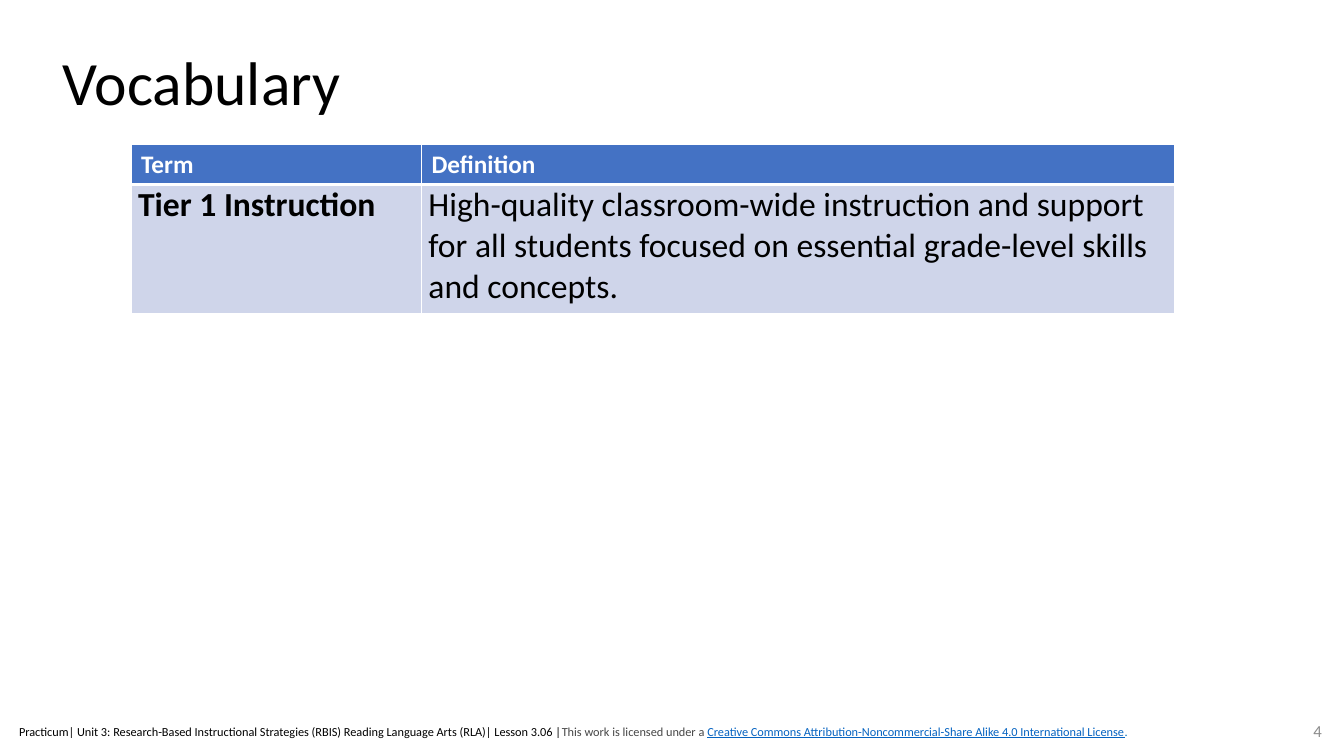
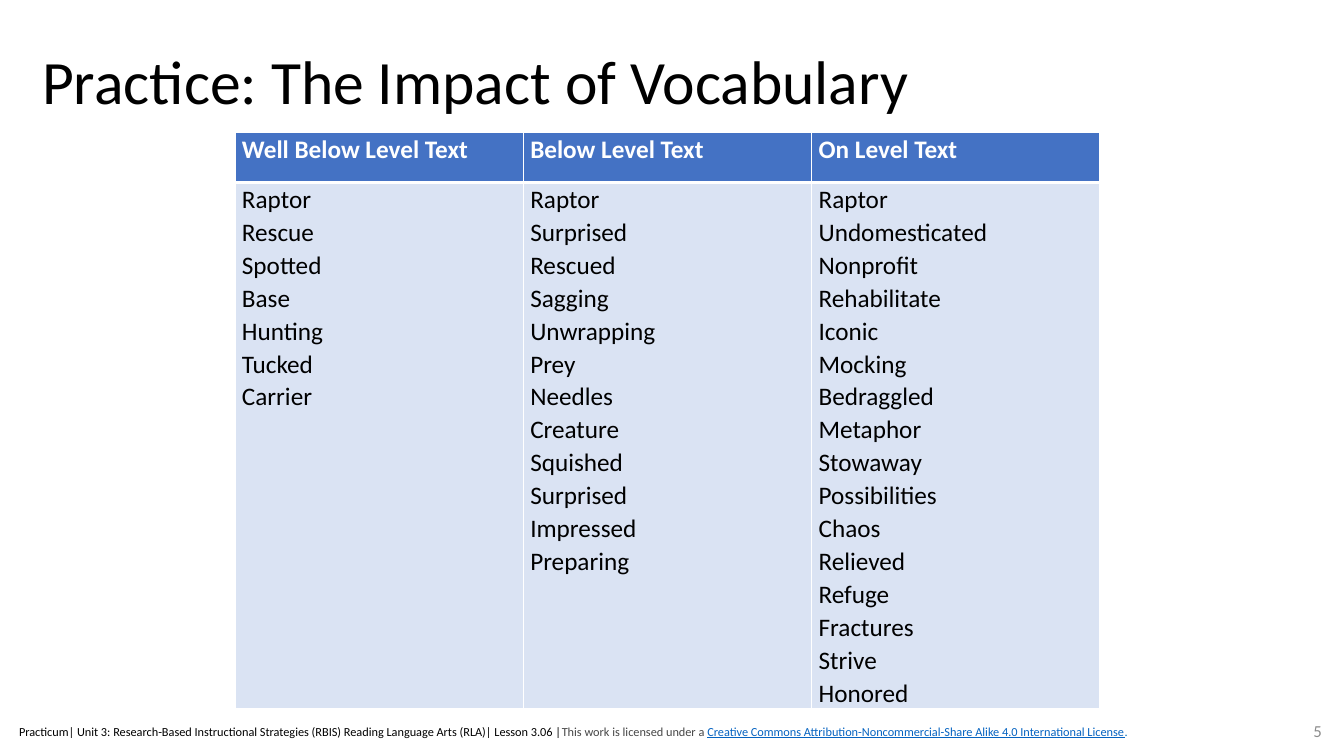
"""Build two vocabulary slides, each with a title, a table and a shared footer."""
from lxml.etree import SubElement
from pptx import Presentation
from pptx.dml.color import RGBColor
from pptx.enum.text import MSO_ANCHOR, PP_ALIGN
from pptx.oxml.ns import qn
from pptx.util import Inches, Pt

FONT = "Calibri"
BLACK, WHITE, GREY = "000000", "FFFFFF", "8C8C8C"
HEADER_BLUE = "4472C4"
FOOTER = [
    ("Practicum| Unit 3: Research-Based Instructional Strategies (RBIS) "
     "Reading Language Arts (RLA)| Lesson 3.06 |", BLACK, False),
    ("This work is licensed under a ", "464646", False),
    ("Creative Commons Attribution-Noncommercial-Share Alike 4.0 "
     "International License", "0563C1", True),
    (".", "0070C0", False),
]

SLIDES = [
    {
        "title": "Vocabulary",
        "title_at": (0.52, 0.12, 11.5, 1.45),
        "number": "4",
        "table_at": (1.3, 1.43),
        "widths": [2.88, 7.47],
        "heights": [0.4, 1.28],
        "header_insets": (0.1, 0.05),
        "line_spacing": 1.0,
        "space_after": 6,
        "body_size": 24,
        "body_fill": "CFD5EA",
        "bold_columns": [0],
        "columns": {
            "Term": ["Tier 1 Instruction"],
            "Definition": [
                "High-quality classroom-wide instruction and support for all "
                "students focused on essential grade-level skills and concepts."
            ],
        },
    },
    {
        "title": "Practice: The Impact of Vocabulary",
        "title_at": (0.32, 0.26, 11.5, 1.15),
        "number": "5",
        "table_at": (2.33, 1.31),
        "widths": [2.86] * 3,
        "heights": [0.5, 5.22],
        "header_insets": (0.07, 0),
        "line_spacing": 1.07,
        "space_after": 0,
        "body_size": 18,
        "body_fill": "DAE3F3",
        "bold_columns": [],
        "columns": {
            "Well Below Level Text": [
                "Raptor", "Rescue", "Spotted", "Base", "Hunting", "Tucked",
                "Carrier",
            ],
            "Below Level Text": [
                "Raptor", "Surprised", "Rescued", "Sagging", "Unwrapping",
                "Prey", "Needles", "Creature", "Squished", "Surprised",
                "Impressed", "Preparing",
            ],
            "On Level Text": [
                "Raptor", "Undomesticated", "Nonprofit", "Rehabilitate",
                "Iconic", "Mocking", "Bedraggled", "Metaphor", "Stowaway",
                "Possibilities", "Chaos", "Relieved", "Refuge", "Fractures",
                "Strive", "Honored",
            ],
        },
    },
]


def rgb(color):
    return RGBColor.from_string(color)


def add_line(page, place, spans, size, align=PP_ALIGN.LEFT, line_spacing=1.0):
    box = page.shapes.add_textbox(*map(Inches, place))
    frame = box.text_frame
    frame.word_wrap = True
    frame.vertical_anchor = MSO_ANCHOR.MIDDLE
    para = frame.paragraphs[0]
    para.alignment = align
    para.line_spacing = line_spacing
    for text, color, underline in spans:
        span = para.add_run()
        span.text = text
        span.font.name = FONT
        span.font.size = Pt(size)
        span.font.color.rgb = rgb(color)
        span.font.underline = underline


deck = Presentation()
deck.slide_width = Inches(13.33)
deck.slide_height = Inches(7.5)

for content in SLIDES:
    page = deck.slides.add_slide(deck.slide_layouts[6])
    add_line(page, content["title_at"], [(content["title"], BLACK, False)], 44,
             line_spacing=0.9)

    widths, heights = content["widths"], content["heights"]
    left, top = content["table_at"]
    table = page.shapes.add_table(
        len(heights), len(widths), Inches(left), Inches(top),
        Inches(sum(widths)), Inches(sum(heights))).table
    for row, height in zip(table.rows, heights):
        row.height = Inches(height)

    for column, (heading, words) in enumerate(content["columns"].items()):
        table.columns[column].width = Inches(widths[column])
        for row, lines in enumerate([[heading], words]):
            is_header = row == 0
            cell = table.cell(row, column)
            side, edge = content["header_insets"] if is_header else (0.07, 0)
            cell.margin_left = cell.margin_right = Inches(side)
            cell.margin_top = cell.margin_bottom = Inches(edge)

            properties = cell._tc.get_or_add_tcPr()
            borders = {"a:lnL": 1, "a:lnR": 1,
                       "a:lnT": 1 if is_header else 3,
                       "a:lnB": 3 if is_header else 1}
            for tag, points in borders.items():
                border = SubElement(properties, qn(tag), w=str(Pt(points)))
                fill = SubElement(border, qn("a:solidFill"))
                SubElement(fill, qn("a:srgbClr"), val=WHITE)
            cell.fill.solid()
            cell.fill.fore_color.rgb = rgb(
                HEADER_BLUE if is_header else content["body_fill"])

            cell.text_frame.text = "\n".join(lines)
            for para in cell.text_frame.paragraphs:
                para.line_spacing = content["line_spacing"]
                para.space_after = Pt(0 if is_header else content["space_after"])
                font = para.runs[0].font
                font.name = FONT
                font.size = Pt(18 if is_header else content["body_size"])
                font.bold = is_header or column in content["bold_columns"]
                font.color.rgb = rgb(WHITE if is_header else BLACK)

    add_line(page, (0.09, 7.09, 12.42, 0.33), FOOTER, 8.8)
    add_line(page, (10.21, 7.05, 3, 0.4), [(content["number"], GREY, False)], 12,
             align=PP_ALIGN.RIGHT)

deck.save("out.pptx")
